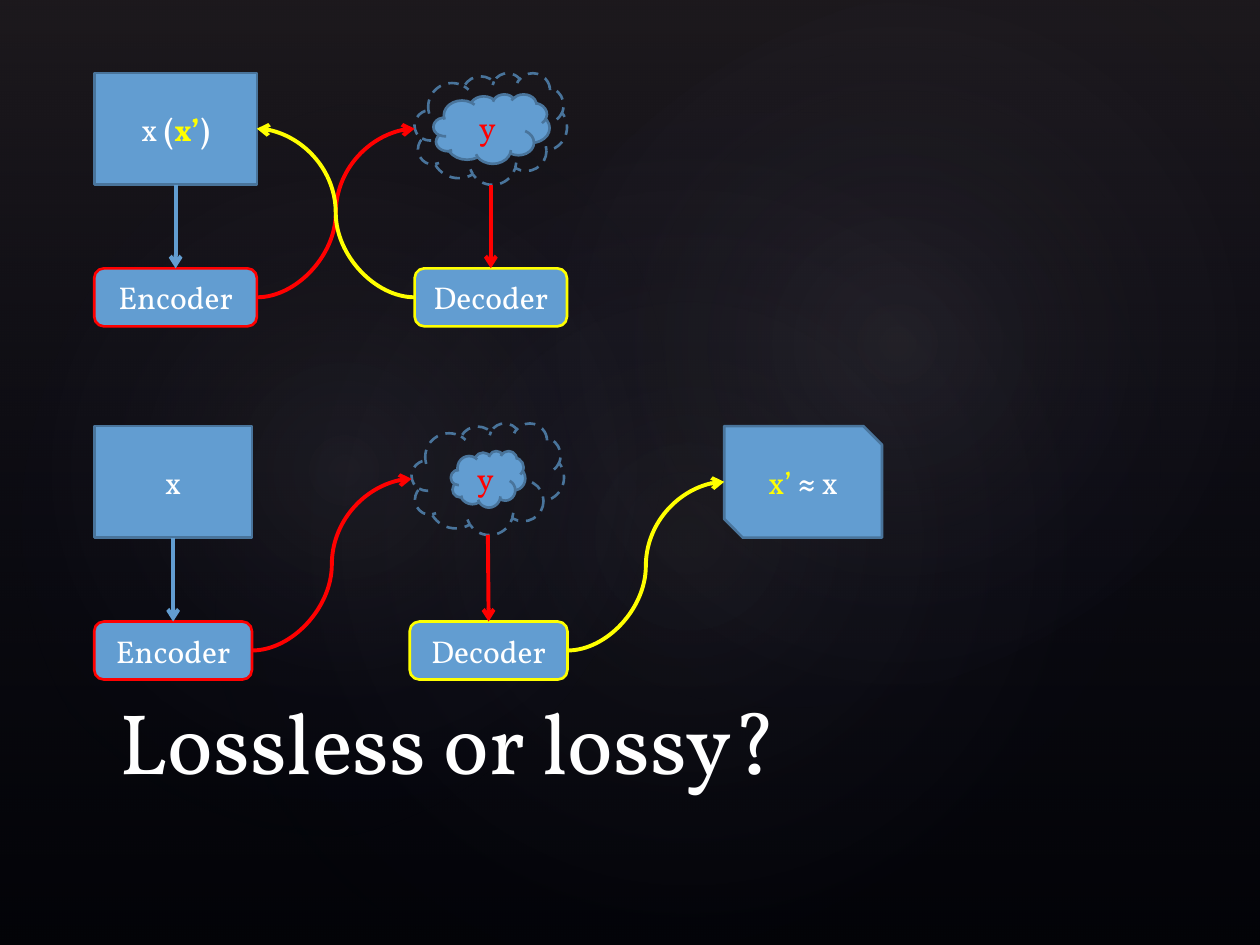
import dataclasses

import lxml.etree
import pptx
import pptx.dml.color
import pptx.enum.dml
import pptx.enum.shapes
import pptx.enum.text
import pptx.oxml
import pptx.oxml.ns
import pptx.util

Cm = pptx.util.Cm
Pt = pptx.util.Pt
qn = pptx.oxml.ns.qn
SHAPE = pptx.enum.shapes.MSO_SHAPE
CONNECTOR = pptx.enum.shapes.MSO_CONNECTOR
TOP, LEFT, BOTTOM, RIGHT = range(4)


@dataclasses.dataclass(frozen=True)
class Theme:
    font: str = "Vollkorn"
    background: str = "000000"
    text: str = "FFFFFF"
    fill: str = "629DD1"
    border: str = "49749B"
    encode: str = "FF0000"
    decode: str = "FFFF00"
    title_size: int = 49
    label_size: int = 18
    border_width: float = 1.5
    arrow_width: float = 2.25


def rgb(color):
    return pptx.dml.color.RGBColor.from_string(color)


def add_text(paragraph, text, *, font, size, color, bold=False):
    run = paragraph.add_run()
    run.text = text
    run.font.name = font
    run.font.size = Pt(size)
    run.font.bold = bold
    run.font.color.rgb = rgb(color)


def side_middle(shape, side):
    """Return the middle point of one side of a shape."""
    center_x = shape.left + shape.width // 2
    center_y = shape.top + shape.height // 2
    return {
        TOP: (center_x, shape.top),
        LEFT: (shape.left, center_y),
        BOTTOM: (center_x, shape.top + shape.height),
        RIGHT: (shape.left + shape.width, center_y),
    }[side]


class SlideBuilder:
    def __init__(self, slide, theme):
        self.slide = slide
        self.theme = theme

    def background(self):
        fill = self.slide.background.fill
        fill.solid()
        fill.fore_color.rgb = rgb(self.theme.background)

    def gradient(self, kind, box, stops, direction, rotation=0):
        """Add a borderless shape with (position, colour, opacity) stops in percent."""
        shape = self.slide.shapes.add_shape(kind, *map(Cm, box))
        shape.rotation = rotation
        shape.shadow.inherit = False
        shape.line.fill.background()
        stop_xml = "".join(
            f'<a:gs pos="{position * 1000}"><a:srgbClr val="{color}">'
            f'<a:alpha val="{opacity * 1000}"/></a:srgbClr></a:gs>'
            for position, color, opacity in stops
        )
        properties = shape._element.spPr
        properties.insert(2, pptx.oxml.parse_xml(
            f'<a:gradFill {pptx.oxml.ns.nsdecls("a")} rotWithShape="1">'
            f"<a:gsLst>{stop_xml}</a:gsLst>{direction}</a:gradFill>"
        ))

    def title(self, text, box):
        title = self.slide.shapes.title
        title.left, title.top, title.width, title.height = map(Cm, box)
        frame = title.text_frame
        frame.auto_size = pptx.enum.text.MSO_AUTO_SIZE.NONE
        frame.vertical_anchor = pptx.enum.text.MSO_ANCHOR.BOTTOM
        paragraph = frame.paragraphs[0]
        paragraph.alignment = pptx.enum.text.PP_ALIGN.LEFT
        add_text(paragraph, text, font=self.theme.font,
                 size=self.theme.title_size, color=self.theme.text)
        # Bring the title in front of the background glows
        self.slide.shapes._spTree.append(title._element)

    def node(self, kind, box, runs=(), border=None, filled=True, shapes=None):
        """Add a labelled shape; runs are (text, colour, bold)."""
        shapes = self.slide.shapes if shapes is None else shapes
        shape = shapes.add_shape(kind, *map(Cm, box))
        shape.shadow.inherit = False
        if filled:
            shape.fill.solid()
            shape.fill.fore_color.rgb = rgb(self.theme.fill)
        else:
            shape.fill.background()
        shape.line.color.rgb = rgb(border or self.theme.border)
        shape.line.width = Pt(self.theme.border_width)
        shape.text_frame.vertical_anchor = pptx.enum.text.MSO_ANCHOR.MIDDLE
        paragraph = shape.text_frame.paragraphs[0]
        paragraph.alignment = pptx.enum.text.PP_ALIGN.CENTER
        for text, color, bold in runs:
            add_text(paragraph, text, font=self.theme.font, bold=bold,
                     size=self.theme.label_size, color=color)
        return shape

    def cloud(self, outer_box, inner_box, text):
        """Group a dashed cloud with a smaller filled one; return the outer."""
        group = self.slide.shapes.add_group_shape()
        outer = self.node(SHAPE.CLOUD, outer_box, filled=False, shapes=group.shapes)
        outer.line.dash_style = pptx.enum.dml.MSO_LINE.DASH
        self.node(SHAPE.CLOUD, inner_box, [(text, self.theme.encode, False)],
                  shapes=group.shapes)
        return outer

    def arrow(self, start, start_side, end, end_side, color, curved=False):
        kind = CONNECTOR.CURVE if curved else CONNECTOR.STRAIGHT
        connector = self.slide.shapes.add_connector(
            kind, *side_middle(start, start_side), *side_middle(end, end_side))
        if not curved:
            if start.auto_shape_type != SHAPE.CLOUD:
                connector.begin_connect(start, start_side)
            connector.end_connect(end, end_side)
        connector.line.color.rgb = rgb(color)
        connector.line.width = Pt(self.theme.arrow_width)
        properties = connector._element.spPr
        lxml.etree.SubElement(properties.find(qn("a:ln")), qn("a:tailEnd"), type="arrow")
        lxml.etree.SubElement(properties, qn("a:effectLst"))

    def codec(self, top, source_width, source_runs, decoder_left, decoder_width,
              cloud_box, core_box):
        """Draw source, encoder, code cloud and decoder; return source and decoder."""
        theme = self.theme
        left, coder_top, coder_height = 1.9, top + 3.94, 1.17
        source = self.node(SHAPE.RECTANGLE, (left, top, source_width, 2.25), source_runs)
        encoder, decoder = (
            self.node(SHAPE.FLOWCHART_ALTERNATE_PROCESS,
                      (coder_left, coder_top, width, coder_height),
                      [(name, theme.text, False)], border)
            for name, coder_left, width, border in (
                ("Encoder", left, source_width, theme.encode),
                ("Decoder", decoder_left, decoder_width, theme.decode),
            )
        )
        cloud = self.cloud(cloud_box, core_box, "y")
        self.arrow(source, BOTTOM, encoder, TOP, theme.fill)
        self.arrow(encoder, RIGHT, cloud, LEFT, theme.encode, curved=True)
        self.arrow(cloud, BOTTOM, decoder, TOP, theme.encode)
        return source, decoder


def main():
    theme = Theme()
    presentation = pptx.Presentation()
    presentation.slide_width, presentation.slide_height = Cm(25.4), Cm(19.05)
    slide = presentation.slides.add_slide(presentation.slide_layouts[5])
    builder = SlideBuilder(slide, theme)

    # Dark background with soft glows
    builder.background()
    builder.gradient(SHAPE.RECTANGLE, (0, 0, 25.4, 19.05),
                     [(0, "504652", 36), (100, "242852", 10)],
                     '<a:lin ang="5400000" scaled="0"/>')
    radial = ('<a:path path="circle"><a:fillToRect l="50000" t="50000" '
              'r="50000" b="50000"/></a:path>')
    for box, rotation, opacity in (
        ((3.81, 2.9, 20.12, 15.85), 328.7, 7),
        ((-0.76, 3.25, 15.39, 12.45), 294.3, 8),
        ((9.09, 0.33, 18.01, 13.21), 328.7, 8),
    ):
        builder.gradient(SHAPE.OVAL, box,
                         [(0, "C4BCC6", opacity), (58, "242852", 0)], radial, rotation)

    builder.title("Lossless or lossy?", (2.16, 13.54, 20.95, 2.54))

    # Lossless: the decoder restores the source
    source, decoder = builder.codec(
        1.47, 3.28,
        [("x ", theme.text, False), ("(", theme.text, True),
         ("x’", theme.decode, True), (")", theme.text, True)],
        8.36, 3.07, (8.36, 1.47, 3.07, 2.25), (8.74, 1.9, 2.34, 1.4))
    builder.arrow(decoder, LEFT, source, RIGHT, theme.decode, curved=True)

    # Lossy: the decoder yields an approximation
    source, decoder = builder.codec(
        8.59, 3.18, [("x", theme.text, False)],
        8.26, 3.18, (8.3, 8.53, 3.07, 2.25), (9.09, 9.09, 1.5, 1.14))
    result = builder.node(
        SHAPE.SNIP_2_DIAG_RECTANGLE, (14.6, 8.59, 3.18, 2.25),
        [("x’ ", theme.decode, False), ("≈", theme.text, True),
         (" x", theme.text, False)])
    builder.arrow(decoder, RIGHT, result, LEFT, theme.decode, curved=True)

    presentation.save("out.pptx")


if __name__ == "__main__":
    main()
